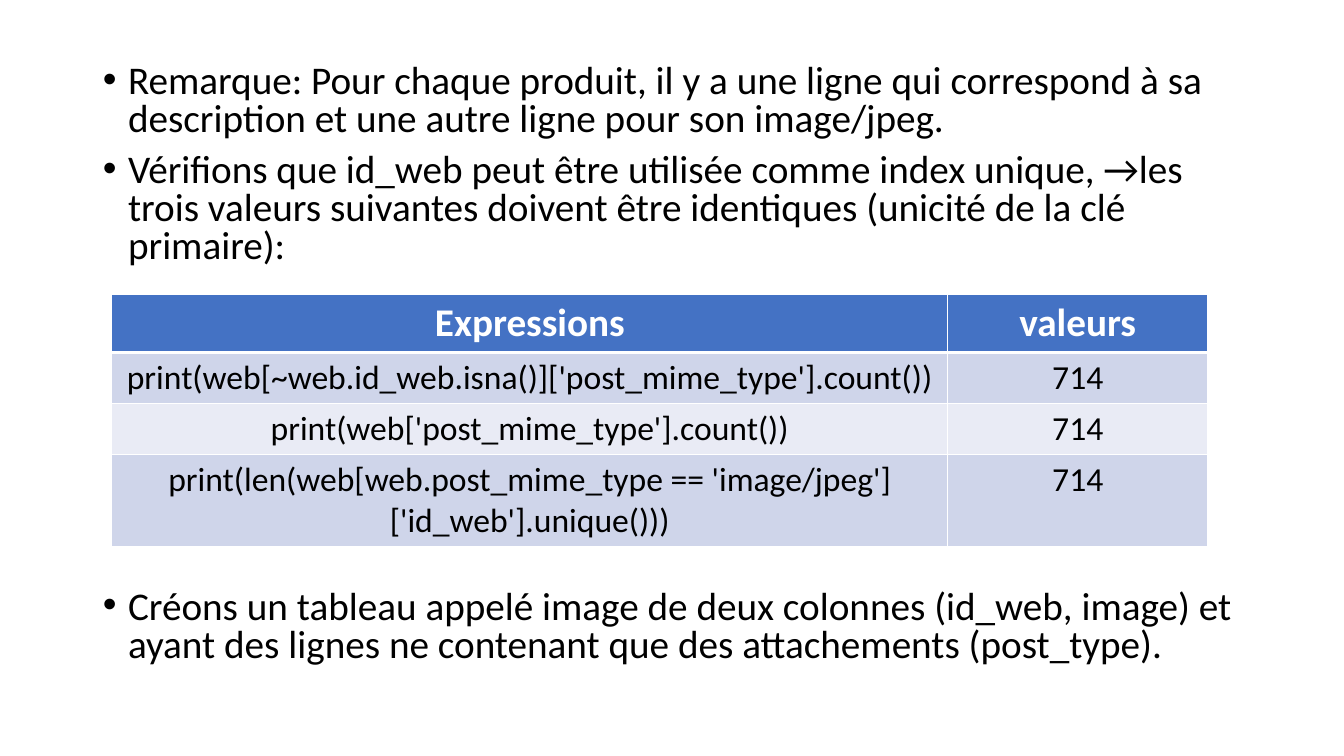
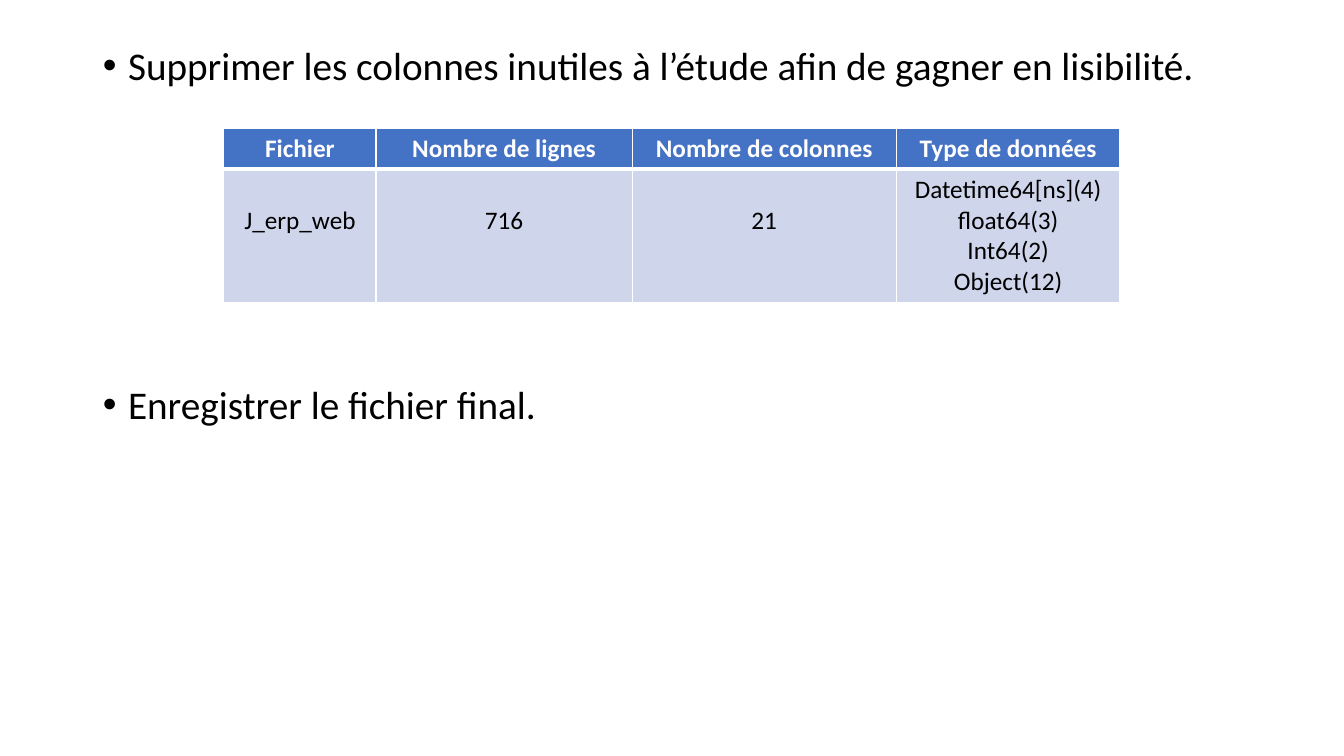
from pptx import Presentation
from pptx.dml.color import RGBColor
from pptx.enum.text import MSO_AUTO_SIZE, PP_ALIGN
from pptx.oxml.ns import qn
from pptx.util import Inches, Pt
from lxml import etree

CENTER = PP_ALIGN.CENTER
FIXED = MSO_AUTO_SIZE.NONE

BLACK = RGBColor(0x00, 0x00, 0x00)
WHITE = RGBColor(0xFF, 0xFF, 0xFF)
BLUE = RGBColor(0x44, 0x72, 0xC4)
BANDS = RGBColor(0xCF, 0xD5, 0xEA), RGBColor(0xE9, 0xEB, 0xF5)

FACE = "Calibri"
BODY = {"name": FACE, "size": Pt(28), "bold": False}
INDENT = Inches(0.25)
LEFT, WIDTH = 0.92, 11.5


def style(font, color, form):
    for key, value in form.items():
        setattr(font, key, value)
    font.color.rgb = color


def bullets(slide, top, height, items, pitch):
    """Fill the body with (text, points before) items."""
    body = slide.placeholders[1]
    body.left, body.top = Inches(LEFT), Inches(top)
    body.width, body.height = Inches(WIDTH), Inches(height)
    frame = body.text_frame
    frame.word_wrap, frame.auto_size = True, FIXED
    for i, (text, before) in enumerate(items):
        para = frame.add_paragraph() if i else frame.paragraphs[0]
        para.text = text
        props = para._p.get_or_add_pPr()
        props.set("marL", str(INDENT))
        props.set("indent", str(-INDENT))
        etree.SubElement(props, qn("a:buFont"), typeface="Arial")
        etree.SubElement(props, qn("a:buChar"), char="•")
        para.line_spacing = pitch
        para.space_before = Pt(before)
        para.space_after = Pt(0)
        style(para.font, BLACK, BODY)


def border(cell, head):
    """Draw white edges, with a thick one under the header."""
    props = cell._tc.get_or_add_tcPr()
    for side in "LRTB":
        width = Pt(3 if head and side == "B" else 1)
        line = etree.SubElement(props, qn(f"a:ln{side}"), w=str(width))
        fill = etree.SubElement(line, qn("a:solidFill"))
        etree.SubElement(fill, qn("a:srgbClr"), val=str(WHITE))


def grid(slide, left, top, cols, rows, data, sizes):
    """Add a table; sizes holds the header and body text sizes."""
    frame = slide.shapes.add_table(
        len(rows), len(cols), Inches(left), Inches(top),
        Inches(sum(cols)), Inches(sum(rows)))
    table = frame.table
    for col, width in zip(table.columns, cols):
        col.width = Inches(width)
    for r, (row, height) in enumerate(zip(table.rows, rows)):
        head = r == 0
        row.height = Inches(height)
        form = {"name": FACE, "size": Pt(sizes[0 if head else 1]), "bold": head}
        for cell, text in zip(row.cells, data[r]):
            border(cell, head)
            cell.fill.solid()
            cell.fill.fore_color.rgb = BLUE if head else BANDS[(r - 1) % 2]
            cell.text = text
            for para in cell.text_frame.paragraphs:
                para.alignment = CENTER
                style(para.font, WHITE if head else BLACK, form)
    return table


def add_page(deck):
    slide = deck.slides.add_slide(deck.slide_layouts[1])
    title = slide.shapes.title.element
    title.getparent().remove(title)
    return slide


def key_page(deck):
    slide = add_page(deck)
    bullets(slide, 0.59, 6.31, [
        ("Remarque: Pour chaque produit, il y a une ligne qui correspond à sa "
         "description et une autre ligne pour son image/jpeg.", 0),
        ("Vérifions que id_web peut être utilisée comme index unique, →les "
         "trois valeurs suivantes doivent être identiques (unicité de la clé "
         "primaire):", 10),
        ("Créons un tableau appelé image de deux colonnes (id_web, image) et "
         "ayant des lignes ne contenant que des attachements (post_type).", 231),
    ], 0.8)
    grid(slide, 1.11, 2.92, [8.29, 2.58], [0.56, 0.5, 0.5, 0.91], [
        ("Expressions", "valeurs"),
        ("print(web[~web.id_web.isna()]['post_mime_type'].count())", "714"),
        ("print(web['post_mime_type'].count())", "714"),
        ("print(len(web[web.post_mime_type == 'image/jpeg']"
         "['id_web'].unique()))", "714"),
    ], (28, 24))


def file_page(deck):
    slide = add_page(deck)
    bullets(slide, 0.41, 6.35, [
        ("Supprimer les colonnes inutiles à l’étude afin de gagner en "
         "lisibilité.", 0),
        ("Enregistrer le fichier final.", 212),
    ], 0.9)
    table = grid(slide, 2.22, 1.27, [1.51, 2.54, 2.62, 2.22], [0.41, 1.3], [
        ("Fichier", "Nombre de lignes", "Nombre de colonnes",
         "Type de données"),
        ("J_erp_web", "716", "21",
         "Datetime64[ns](4)\nfloat64(3)\nInt64(2)\nObject(12)"),
    ], (18, 18))
    for col in range(3):
        table.cell(1, col).margin_top = Inches(0.36)


def main():
    deck = Presentation()
    deck.slide_width, deck.slide_height = Inches(13.33), Inches(7.5)
    key_page(deck)
    file_page(deck)
    deck.save("out.pptx")


if __name__ == "__main__":
    main()
